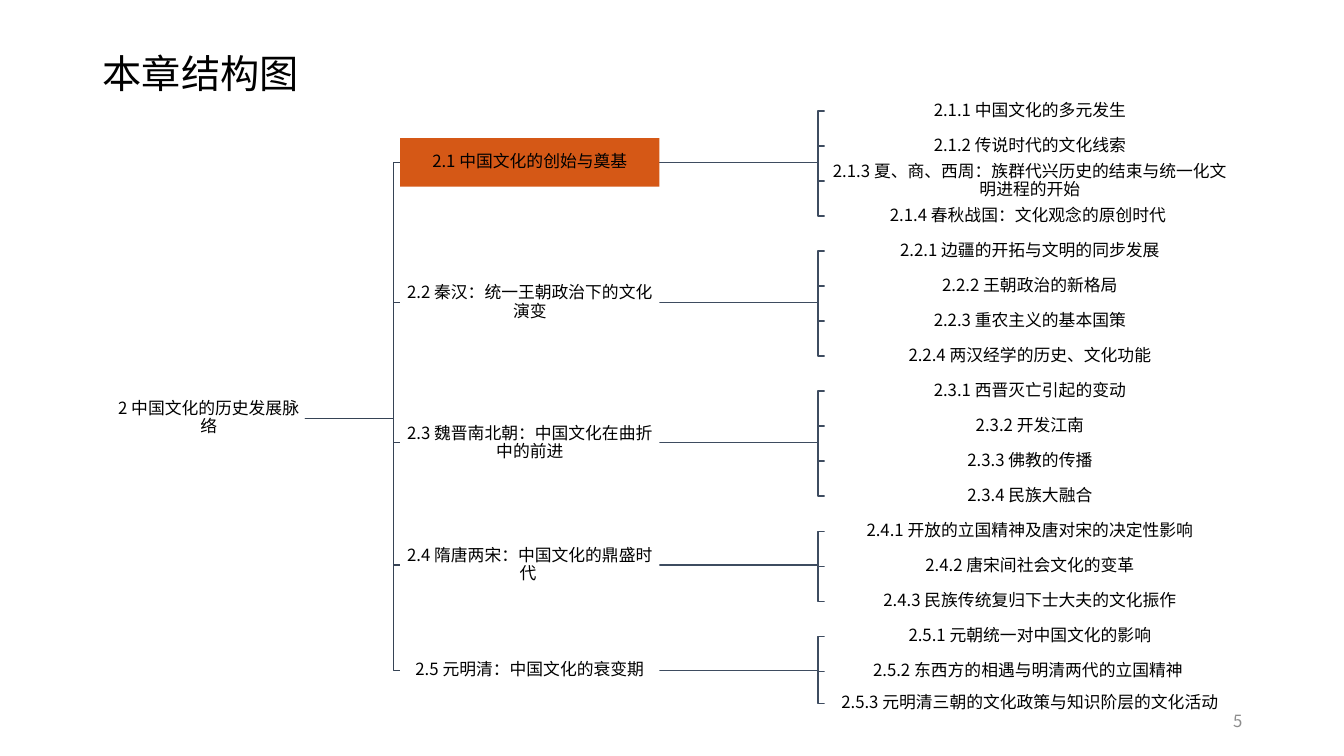
"""Build the chapter structure slide as a three-level tree."""
import lxml.etree
import pptx
import pptx.dml.color
import pptx.enum.shapes
import pptx.enum.text
import pptx.oxml.ns
import pptx.util

Inches = pptx.util.Inches
ALIGN = pptx.enum.text.PP_ALIGN

TITLE = "本章结构图"
PAGE_NUMBER = "5"
CHAPTER = "2 中国文化的历史发展脉络"
SECTIONS = [
    ("2.1 中国文化的创始与奠基", [
        "2.1.1 中国文化的多元发生",
        "2.1.2 传说时代的文化线索",
        "2.1.3 夏、商、西周：族群代兴历史的结束与统一化文明进程的开始",
        "2.1.4 春秋战国：文化观念的原创时代 ",
    ]),
    ("2.2 秦汉：统一王朝政治下的文化演变", [
        "2.2.1 边疆的开拓与文明的同步发展",
        "2.2.2 王朝政治的新格局",
        "2.2.3 重农主义的基本国策",
        "2.2.4 两汉经学的历史、文化功能",
    ]),
    ("2.3 魏晋南北朝：中国文化在曲折中的前进", [
        "2.3.1 西晋灭亡引起的变动",
        "2.3.2 开发江南",
        "2.3.3 佛教的传播",
        "2.3.4 民族大融合",
    ]),
    ("2.4 隋唐两宋：中国文化的鼎盛时代 ", [
        "2.4.1 开放的立国精神及唐对宋的决定性影响",
        "2.4.2 唐宋间社会文化的变革",
        "2.4.3 民族传统复归下士大夫的文化振作",
    ]),
    ("2.5 元明清：中国文化的衰变期", [
        "2.5.1 元朝统一对中国文化的影响",
        "2.5.2 东西方的相遇与明清两代的立国精神 ",
        "2.5.3 元明清三朝的文化政策与知识阶层的文化活动",
    ]),
]
CURRENT_SECTION = 0

THEME = {
    "font": "Noto Sans CJK SC",
    "text": "000000", "page": "8C8C8C",
    "box": "FFFFFF", "current": "D55816",
    "chapter_link": "364355", "section_link": "3E4C60",
    "title_size": 28, "node_size": 12, "link_width": 1,
}

CHAPTER_BOX = (1.12, 1.9, 0.71)
SECTION_BOX = (3.97, 2.57, 0.48)
TOPIC_BOX = (8.18, 4.07, 0.26)
CHAPTER_Y = 4.15
FIRST_TOPIC_Y = 1.1
TOPIC_PITCH = 0.3475
LAST_TOPIC_LIFT = 0.03
SECTION_LIFT = 0.01
ELBOW_GAP = 0.065


def rgb(name):
    return pptx.dml.color.RGBColor.from_string(THEME[name])


def write(frame, wording, size, color, align):
    frame.text = wording
    frame.word_wrap = True
    frame.vertical_anchor = pptx.enum.text.MSO_ANCHOR.MIDDLE
    paragraph = frame.paragraphs[0]
    paragraph.alignment = align
    run = paragraph.runs[0]
    run.font.size = pptx.util.Pt(THEME[size])
    run.font.name = THEME["font"]
    run.font.color.rgb = rgb(color)
    east_asian = lxml.etree.SubElement(run.font._element, pptx.oxml.ns.qn("a:ea"))
    east_asian.set("typeface", THEME["font"])
    return paragraph


def add_node(slide, wording, box, center_y, fill=None):
    left, width, height = box
    node = slide.shapes.add_shape(
        pptx.enum.shapes.MSO_SHAPE.RECTANGLE, Inches(left),
        Inches(center_y - height / 2), Inches(width), Inches(height))
    node.shadow.inherit = False
    node.line.fill.background()
    if fill:
        node.fill.solid()
        node.fill.fore_color.rgb = rgb(fill)
    else:
        node.fill.background()
    frame = node.text_frame
    frame.margin_left = frame.margin_right = Inches(0.01)
    frame.margin_top = frame.margin_bottom = Inches(0.01)
    paragraph = write(frame, wording, "node_size", "text", ALIGN.CENTER)
    paragraph.line_spacing = 0.9
    paragraph.space_after = pptx.util.Pt(4.2)


def add_link(slide, parent_box, parent_y, child_box, child_y, color):
    start_x = parent_box[0] + parent_box[1]
    end_x = child_box[0]
    elbow_x = end_x - ELBOW_GAP
    outline = slide.shapes.build_freeform(Inches(start_x), Inches(parent_y))
    outline.add_line_segments(
        [(Inches(x), Inches(y)) for x, y in
         ((elbow_x, parent_y), (elbow_x, child_y), (end_x, child_y))], close=False)
    link = outline.convert_to_shape()
    link.shadow.inherit = False
    link.fill.background()
    link.line.color.rgb = rgb(color)
    link.line.width = pptx.util.Pt(THEME["link_width"])


def place_sections():
    placed, row = [], 0
    for heading, topics in SECTIONS:
        topic_ys = [FIRST_TOPIC_Y + TOPIC_PITCH * (row + i) for i in range(len(topics))]
        section_y = (topic_ys[0] + topic_ys[-1]) / 2 - SECTION_LIFT
        placed.append((heading, section_y, topics, topic_ys))
        row += len(topics)
    placed[-1][3][-1] -= LAST_TOPIC_LIFT
    return placed


def main():
    deck = pptx.Presentation()
    deck.slide_width, deck.slide_height = Inches(13.33), Inches(7.5)
    slide = deck.slides.add_slide(deck.slide_layouts[5])

    title = slide.shapes.title
    title.left, title.top = Inches(0.92), Inches(0.4)
    title.width, title.height = Inches(3.29), Inches(0.71)
    heading = write(title.text_frame, TITLE, "title_size", "text", ALIGN.LEFT)
    heading.line_spacing = 0.9

    page = slide.shapes.add_textbox(Inches(9.42), Inches(6.95), Inches(3), Inches(0.4))
    write(page.text_frame, PAGE_NUMBER, "node_size", "page", ALIGN.RIGHT)

    sections = place_sections()
    for _, section_y, _, topic_ys in sections:
        for topic_y in topic_ys:
            add_link(slide, SECTION_BOX, section_y, TOPIC_BOX, topic_y, "section_link")
        add_link(slide, CHAPTER_BOX, CHAPTER_Y, SECTION_BOX, section_y, "chapter_link")

    add_node(slide, CHAPTER, CHAPTER_BOX, CHAPTER_Y)
    for index, (section, section_y, topics, topic_ys) in enumerate(sections):
        fill = "current" if index == CURRENT_SECTION else "box"
        add_node(slide, section, SECTION_BOX, section_y, fill)
        for topic, topic_y in zip(topics, topic_ys):
            add_node(slide, topic, TOPIC_BOX, topic_y, "box")

    deck.save("out.pptx")


if __name__ == "__main__":
    main()
